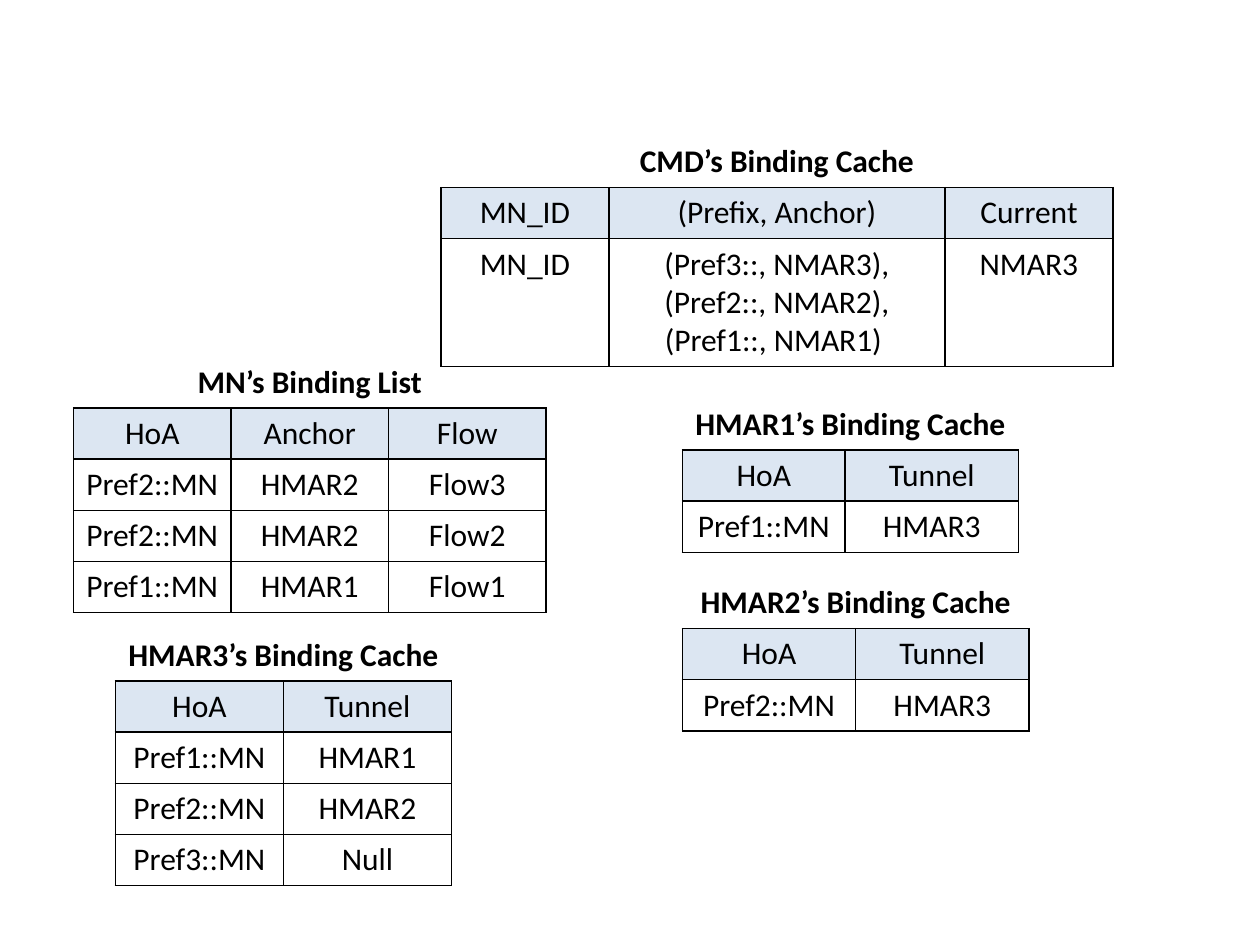
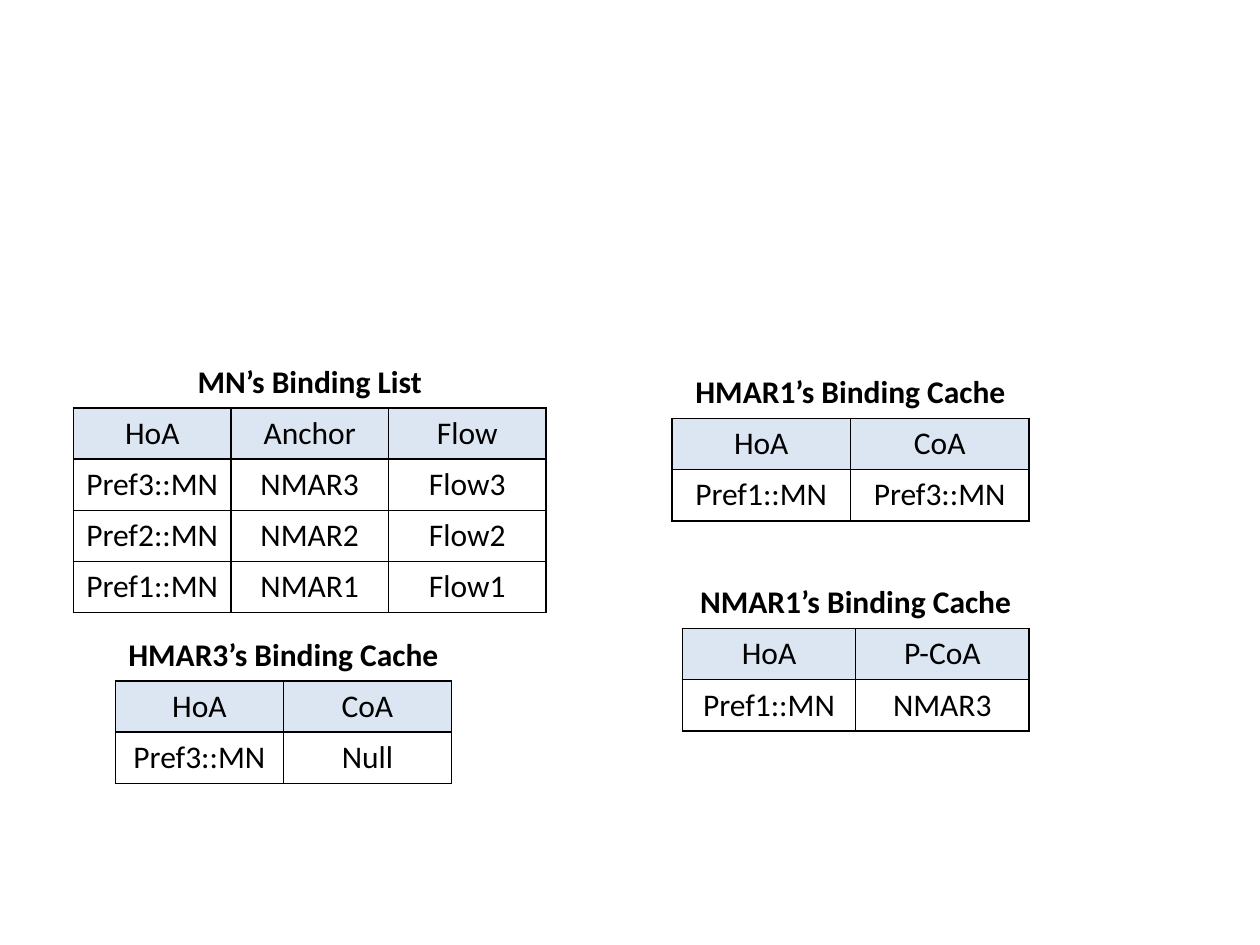
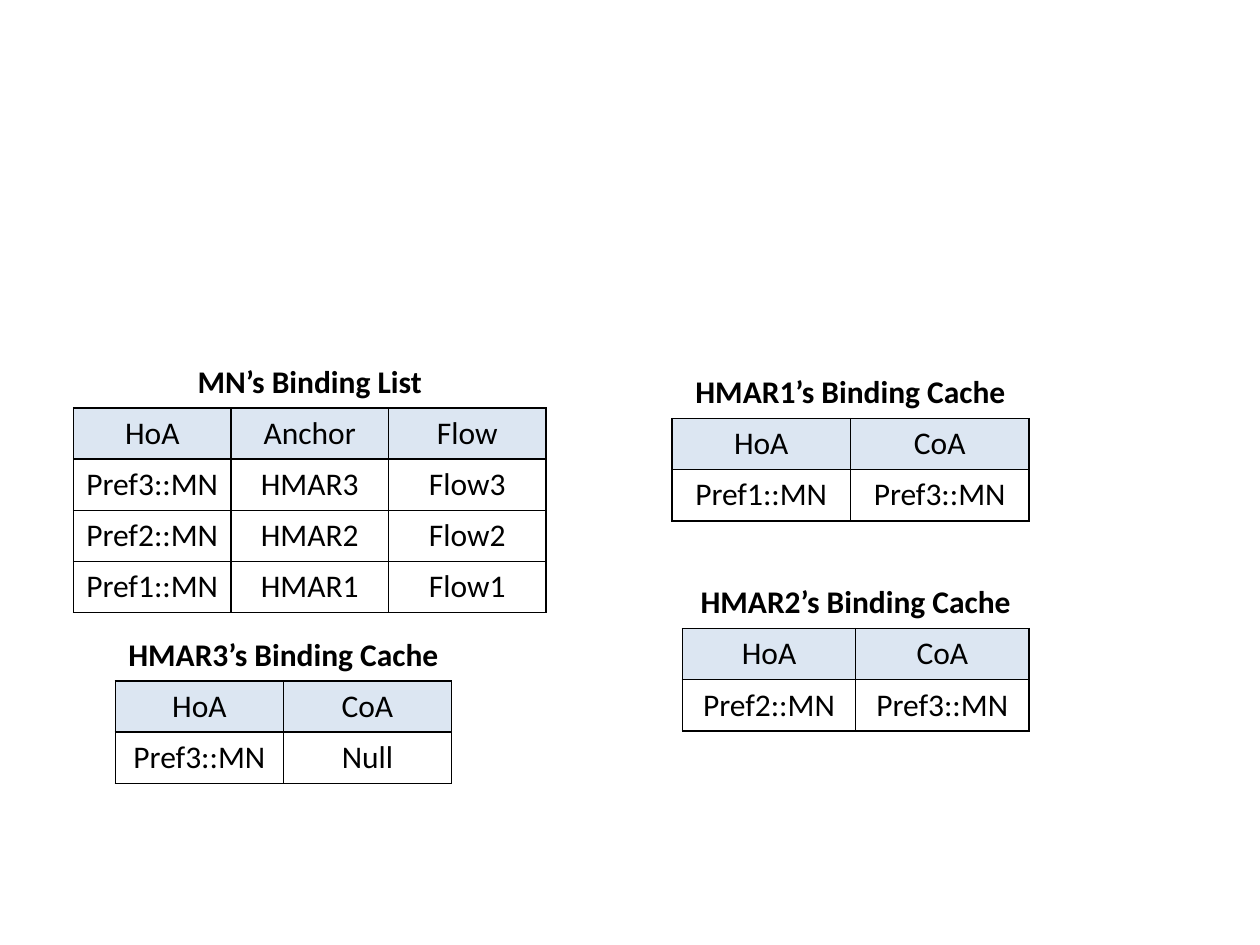
from lxml import etree
from pptx import Presentation
from pptx.dml.color import RGBColor
from pptx.enum.text import PP_ALIGN
from pptx.oxml.ns import qn
from pptx.util import Pt

CENTER = PP_ALIGN.CENTER
COLORS = {"text": "000000", "line": "000000", "header": "DCE6F2", "cell": "FFFFFF"}
FONT = "Calibri"
ROW_H = 27          # smallest row height
FRAME_ROW_H = 28.8  # share of the frame height per row
ALL_SIDES = "LRTB"


def put_text(tf, text, size=18, bold=False, color="text", align=CENTER):
    p = tf.paragraphs[0]
    p.alignment = align
    r = p.add_run()
    r.text = text
    r.font.name = FONT
    r.font.size = Pt(size)
    r.font.bold = bold
    r.font.color.rgb = RGBColor.from_string(COLORS[color])


def set_borders(cell, sides):
    """Draw 1 pt lines on the given sides and none on the others."""
    tcPr = cell._tc.get_or_add_tcPr()
    for side in ALL_SIDES:
        ln = etree.SubElement(tcPr, qn("a:ln" + side), w=str(Pt(1)))
        if side in sides:
            fill = etree.SubElement(ln, qn("a:solidFill"))
            etree.SubElement(fill, qn("a:srgbClr"), val=COLORS["line"])
        else:
            etree.SubElement(ln, qn("a:noFill"))


def style_cell(cell, fill, sides=ALL_SIDES):
    set_borders(cell, sides)
    cell.fill.solid()
    cell.fill.fore_color.rgb = RGBColor.from_string(COLORS[fill])


def binding_table(slide, left, top, widths, title, header, *rows, height=None):
    """A table with a merged title row, a tinted header row and plain rows."""
    n_rows, n_cols = len(rows) + 2, len(widths)
    height = height or n_rows * FRAME_ROW_H
    sp = slide.shapes.add_table(n_rows, n_cols, Pt(left), Pt(top),
                                Pt(sum(widths)), Pt(height))
    table = sp.table
    table.first_row = table.horz_banding = False
    for column, width in zip(table.columns, widths):
        column.width = Pt(width)
    for row in table.rows:
        row.height = Pt(ROW_H)
    sp.height = Pt(height)

    # Title row
    for cell in table.rows[0].cells:
        style_cell(cell, "cell", sides="B")
    table.cell(0, 0).merge(table.cell(0, n_cols - 1))
    put_text(table.cell(0, 0).text_frame, title, bold=True)

    # Header and body rows
    for i, values in enumerate((header, *rows), start=1):
        for cell, value in zip(table.rows[i].cells, values):
            style_cell(cell, "header" if i == 1 else "cell")
            put_text(cell.text_frame, value)


def binding_list(slide, *rows):
    binding_table(slide, 42, 204, [90] * 3, "MN’s Binding List",
                  ("HoA", "Anchor", "Flow"), *rows)


def current_cache(slide, header, *rows):
    binding_table(slide, 66, 360, [96] * 2, "HMAR3’s Binding Cache", header, *rows)


def upper_cache(slide):
    binding_table(slide, 384, 210, [102] * 2, "HMAR1’s Binding Cache",
                  ("HoA", "CoA"), ("Pref1::MN", "Pref3::MN"))


def lower_cache(slide, title, header, *rows):
    binding_table(slide, 390, 330, [99] * 2, title, header, *rows)


prs = Presentation()
prs.slide_width, prs.slide_height = Pt(720), Pt(540)
blank = prs.slide_layouts[6]

# Slide 1: tunnels, with the central cache
s = prs.slides.add_slide(blank)
binding_list(s, ("Pref2::MN", "HMAR2", "Flow3"), ("Pref2::MN", "HMAR2", "Flow2"),
             ("Pref1::MN", "HMAR1", "Flow1"))
binding_table(s, 390, 228, [93, 99], "HMAR1’s Binding Cache",
              ("HoA", "Tunnel"), ("Pref1::MN", "HMAR3"))
current_cache(s, ("HoA", "Tunnel"), ("Pref1::MN", "HMAR1"),
              ("Pref2::MN", "HMAR2"), ("Pref3::MN", "Null"))
lower_cache(s, "HMAR2’s Binding Cache", ("HoA", "Tunnel"), ("Pref2::MN", "HMAR3"))
binding_table(s, 252, 78, [96, 192, 96], "CMD’s Binding Cache",
              ("MN_ID", "(Prefix, Anchor)", "Current"),
              ("MN_ID", "(Pref3::, NMAR3), (Pref2::, NMAR2), (Pref1::, NMAR1) ", "NMAR3"),
              height=129.6)

# Slide 2: care-of addresses, with a proxy
s = prs.slides.add_slide(blank)
binding_list(s, *((f"Pref{n}::MN", f"NMAR{n}", f"Flow{n}") for n in (3, 2, 1)))
upper_cache(s)
current_cache(s, ("HoA", "CoA"), ("Pref3::MN", "Null"))
lower_cache(s, "NMAR1’s Binding Cache", ("HoA", "P-CoA"), ("Pref1::MN", "NMAR3"))

# Slide 3: care-of addresses
s = prs.slides.add_slide(blank)
binding_list(s, *((f"Pref{n}::MN", f"HMAR{n}", f"Flow{n}") for n in (3, 2, 1)))
upper_cache(s)
current_cache(s, ("HoA", "CoA"), ("Pref3::MN", "Null"))
lower_cache(s, "HMAR2’s Binding Cache", ("HoA", "CoA"), ("Pref2::MN", "Pref3::MN"))

prs.save("out.pptx")
